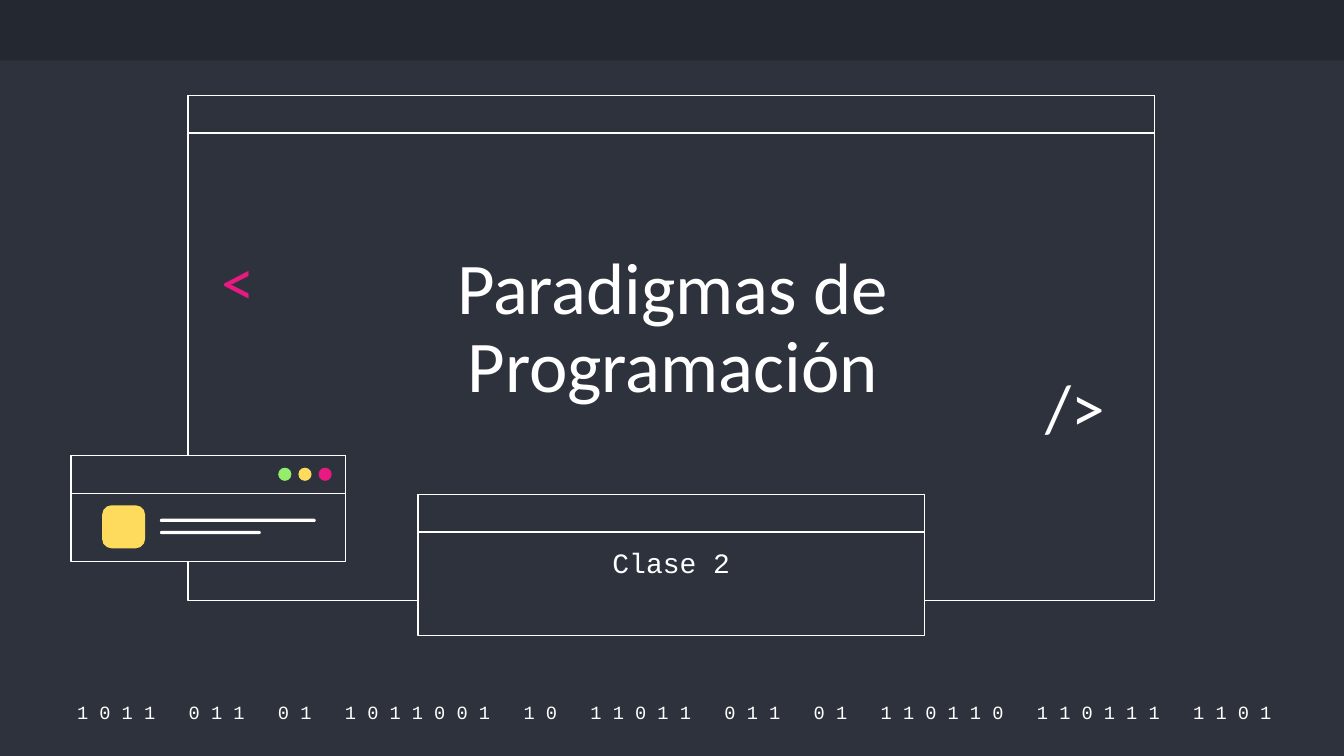
from pptx import Presentation
from pptx import util as u
from pptx.dml.color import RGBColor
from pptx.enum import shapes, text

COLS, ROWS = 100, 56.25
CELL = u.Inches(0.1)
HEADER = 2.8
COLORS = {"back": "2D323C", "band": "242830", "white": "FFFFFF",
          "pink": "E81981", "yellow": "FFDB5D", "green": "94EE6B"}
KINDS = shapes.MSO_SHAPE
ALIGN = text.PP_ALIGN
ANCHOR = text.MSO_ANCHOR
BITS = "1011 011 01 1011001 10 11011 011 01 110110 110111 1101"


def rgb(name):
    """Return the named palette colour."""
    return RGBColor.from_string(COLORS[name])


def place(box):
    """Turn grid columns and rows into slide lengths."""
    return [round(v * CELL) for v in box]


def add_shape(s, box, fill, kind=KINDS.RECTANGLE, line=None, corner=None):
    """Add a flat preset shape."""
    sp = s.shapes.add_shape(kind, *place(box))
    sp.shadow.inherit = False
    sp.fill.solid()
    sp.fill.fore_color.rgb = rgb(fill)
    if line:
        sp.line.color.rgb = rgb(line)
        sp.line.width = u.Pt(0.75)
    else:
        sp.line.fill.background()
    if corner is not None:
        sp.adjustments[0] = corner
    return sp


def add_text(s, box, words, size, font="Calibri", color="white",
             align=ALIGN.LEFT, anchor=ANCHOR.MIDDLE, spacing=None):
    """Add a wrapped one-paragraph text box."""
    tf = s.shapes.add_textbox(*place(box)).text_frame
    tf.word_wrap = True
    tf.vertical_anchor = anchor
    tf.margin_left = tf.margin_right = tf.margin_top = tf.margin_bottom = CELL
    p = tf.paragraphs[0]
    p.text = words
    p.alignment = align
    p.line_spacing = spacing
    p.font.name = font
    p.font.size = u.Pt(size)
    p.font.color.rgb = rgb(color)


def add_window(s, box):
    """Draw an outlined window with a header strip."""
    x, y, w, h = box
    add_shape(s, box, "back", line="white")
    add_shape(s, (x, y, w, HEADER), "back", line="white")


def add_title_window(s, box):
    """Draw the main window with its title and code brackets."""
    x, y, w, h = box
    add_window(s, box)
    add_text(s, (x + 1.5, y + 10.8, 7.7, 6.6), "<", 36, color="pink", spacing=0.9)
    add_text(s, (x + w - 9.1, y + 20.2, 7.7, 6.6), "/>", 36, spacing=0.9)
    add_text(s, (x + 8.6, y + 11.1, 54.9, 13.2), "Paradigmas de Programación", 39,
             align=ALIGN.CENTER, anchor=ANCHOR.BOTTOM, spacing=0.9)


def add_class_window(s, box):
    """Draw the window that names the class."""
    x, y, w, h = box
    add_window(s, box)
    add_text(s, (x + 2.2, y + HEADER, w - 4.4, h - HEADER), "Clase 2", 15,
             font="Courier New", align=ALIGN.CENTER, anchor=ANCHOR.TOP)


def add_mini_window(s, box):
    """Draw the small window with an icon, two bars and three dots."""
    x, y, w, h = box
    add_window(s, box)
    add_shape(s, (x + 2.3, y + 3.7, 3.2, 3.2), "yellow",
              KINDS.ROUNDED_RECTANGLE, corner=0.22)
    for i, length in enumerate((11.6, 7.5)):
        add_shape(s, (x + 6.6, y + 4.7 + 0.9 * i, length, 0.24), "white",
                  KINDS.ROUNDED_RECTANGLE, corner=0.5)
    for i, color in enumerate(("green", "yellow", "pink")):
        add_shape(s, (x + 15.4 + 1.5 * i, y + 0.9, 0.98, 0.98), color, KINDS.OVAL)


def add_backdrop(s, box):
    """Draw the top band and the row of bits at the foot."""
    x, y, w, h = box
    add_shape(s, (x, y, w, 4.5), "band")
    bits = "   ".join(" ".join(group) for group in BITS.split())
    add_text(s, (x + 3.8, y + h - 4.25, 92.7, 2), bits, 10,
             font="Courier New", align=ALIGN.CENTER)


def main():
    """Build and save the cover slide."""
    prs = Presentation()
    prs.slide_width, prs.slide_height = place((COLS, ROWS))
    s = prs.slides.add_slide(prs.slide_layouts[6])
    s.background.fill.solid()
    s.background.fill.fore_color.rgb = rgb("back")
    add_backdrop(s, (0, 0, COLS, ROWS))
    add_title_window(s, (14, 7.1, 71.9, 37.6))
    add_class_window(s, (31.1, 36.8, 37.7, 10.5))
    add_mini_window(s, (5.3, 33.9, 20.4, 7.9))
    prs.save("out.pptx")


if __name__ == "__main__":
    main()
